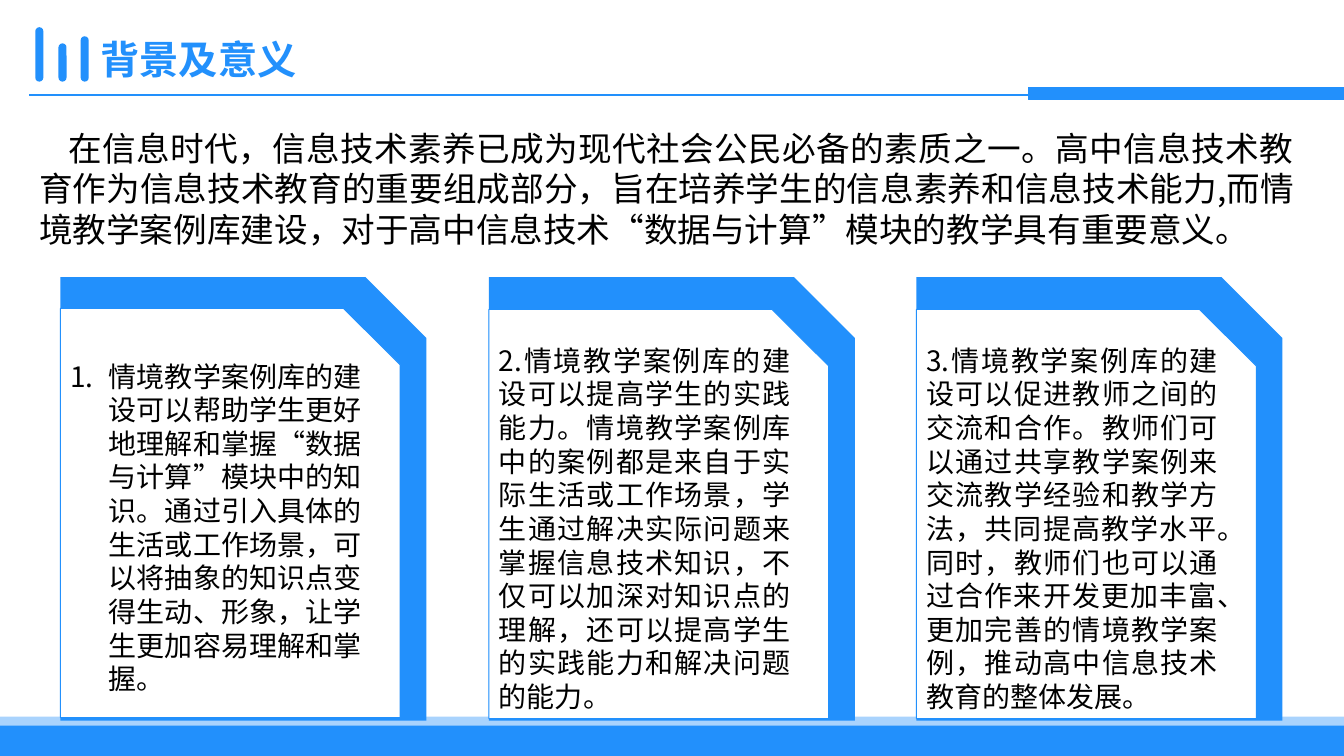
"""Build the background and significance slide with three snipped cards."""
from lxml import etree
from pptx import Presentation
from pptx.dml.color import RGBColor
from pptx.enum import shapes, text
from pptx.oxml import ns
from pptx.util import Inches, Pt

BLUE, WHITE, BLACK = "2290FC", "FFFFFF", "000000"
FONT = "Noto Sans CJK SC"
SHAPE = shapes.MSO_SHAPE

prs = Presentation()
prs.slide_width, prs.slide_height = Inches(13.33), Inches(7.5)
s = prs.slides.add_slide(prs.slide_layouts[6])


def add_block(kind, box, fill=BLUE, line=None, width=1):
    sp = s.shapes.add_shape(kind, *[Inches(v) for v in box])
    sp.shadow.inherit = False
    sp.fill.solid()
    sp.fill.fore_color.rgb = RGBColor.from_string(fill)
    if line:
        sp.line.color.rgb = RGBColor.from_string(line)
        sp.line.width = Pt(width)
    else:
        sp.line.fill.background()
    return sp


def write(sp, words, size, color, align, bold=False):
    tf = sp.text_frame
    p = tf.paragraphs[0]
    p.text = words
    p.alignment = align
    r = p.runs[0]
    r.font.size, r.font.bold, r.font.name = Pt(size), bold, FONT
    r.font.color.rgb = RGBColor.from_string(color)
    rPr = r._r.get_or_add_rPr()
    rPr.set("lang", "zh-CN")
    etree.SubElement(rPr, ns.qn("a:ea")).set("typeface", FONT)
    return p


band = add_block(SHAPE.RECTANGLE, (-0.01, 7.11, 13.35, 0.39))
color = band.fill._xPr.find(".//" + ns.qn("a:srgbClr"))
etree.SubElement(color, ns.qn("a:alpha")).set("val", "39000")
add_block(SHAPE.RECTANGLE, (-0.01, 7.2, 13.35, 0.3))

for left, height in ((0.35, 0.54), (0.58, 0.38), (0.8, 0.45)):
    bar = add_block(SHAPE.ROUNDED_RECTANGLE, (left, 0.81 - height, 0.08, height))
    bar.adjustments[0] = 0.5

rule = s.shapes.add_connector(shapes.MSO_CONNECTOR.STRAIGHT, Inches(0.29), Inches(0.94), Inches(11.52), Inches(0.94))
rule.line.color.rgb = RGBColor.from_string(BLUE)
rule.line.width = Pt(1.5)
etree.SubElement(rule._element.spPr, ns.qn("a:effectLst"))
add_block(SHAPE.RECTANGLE, (10.2, 0.87, 3.13, 0.12), line=BLUE)

title = s.shapes.add_textbox(Inches(0.9), Inches(0.35), Inches(2.17), Inches(0.53))
title.text_frame.word_wrap = False
p = write(title, "背景及意义", 28, BLUE, text.PP_ALIGN.LEFT, bold=True)
p.line_spacing = 0.9

intro = s.shapes.add_textbox(Inches(0.29), Inches(1.22), Inches(12.64), Inches(1.31))
intro.text_frame.word_wrap = True
p = write(
    intro,
    "在信息时代，信息技术素养已成为现代社会公民必备的素质之一。高中信息技术教育作为信息技术教育的重要组成部分，"
    "旨在培养学生的信息素养和信息技术能力,而情境教学案例库建设，对于高中信息技术“数据与计算”模块的教学具有重要意义。",
    24, BLACK, text.PP_ALIGN.JUSTIFY)
p._p.get_or_add_pPr().set("indent", str(Inches(0.29)))

cards = (
    (0.6, 3.06, "情境教学案例库的建设可以帮助学生更好地理解和掌握“数据与计算”模块中的知识。"
     "通过引入具体的生活或工作场景，可以将抽象的知识点变得生动、形象，让学生更加容易理解和掌握。"),
    (4.85, 3.07, "2.情境教学案例库的建设可以提高学生的实践能力。情境教学案例库中的案例都是来自于实际生活或工作场景，"
     "学生通过解决实际问题来掌握信息技术知识，不仅可以加深对知识点的理解，还可以提高学生的实践能力和解决问题的能力。"),
    (9.09, 3.07, "3.情境教学案例库的建设可以促进教师之间的交流和合作。教师们可以通过共享教学案例来交流教学经验和教学方法，"
     "共同提高教学水平。同时，教师们也可以通过合作来开发更加丰富、更加完善的情境教学案例，推动高中信息技术教育的整体发展。"),
)
for i, (left, top, words) in enumerate(cards):
    add_block(SHAPE.SNIP_1_RECTANGLE, (left, 2.75, 3.63, 4.4))
    card = add_block(SHAPE.SNIP_1_RECTANGLE, (left, top, 3.37, 4.06), WHITE, BLUE, 0.75)
    card.text_frame.word_wrap = True
    card.text_frame.vertical_anchor = text.MSO_ANCHOR.MIDDLE
    p = write(card, words, 20, BLACK, text.PP_ALIGN.JUSTIFY)
    if i == 0:
        pPr = p._p.get_or_add_pPr()
        pPr.set("marL", str(Inches(0.38)))
        pPr.set("indent", str(Inches(-0.38)))
        etree.SubElement(pPr, ns.qn("a:buFont")).set("typeface", FONT)
        etree.SubElement(pPr, ns.qn("a:buAutoNum")).set("type", "arabicPeriod")

prs.save("out.pptx")
